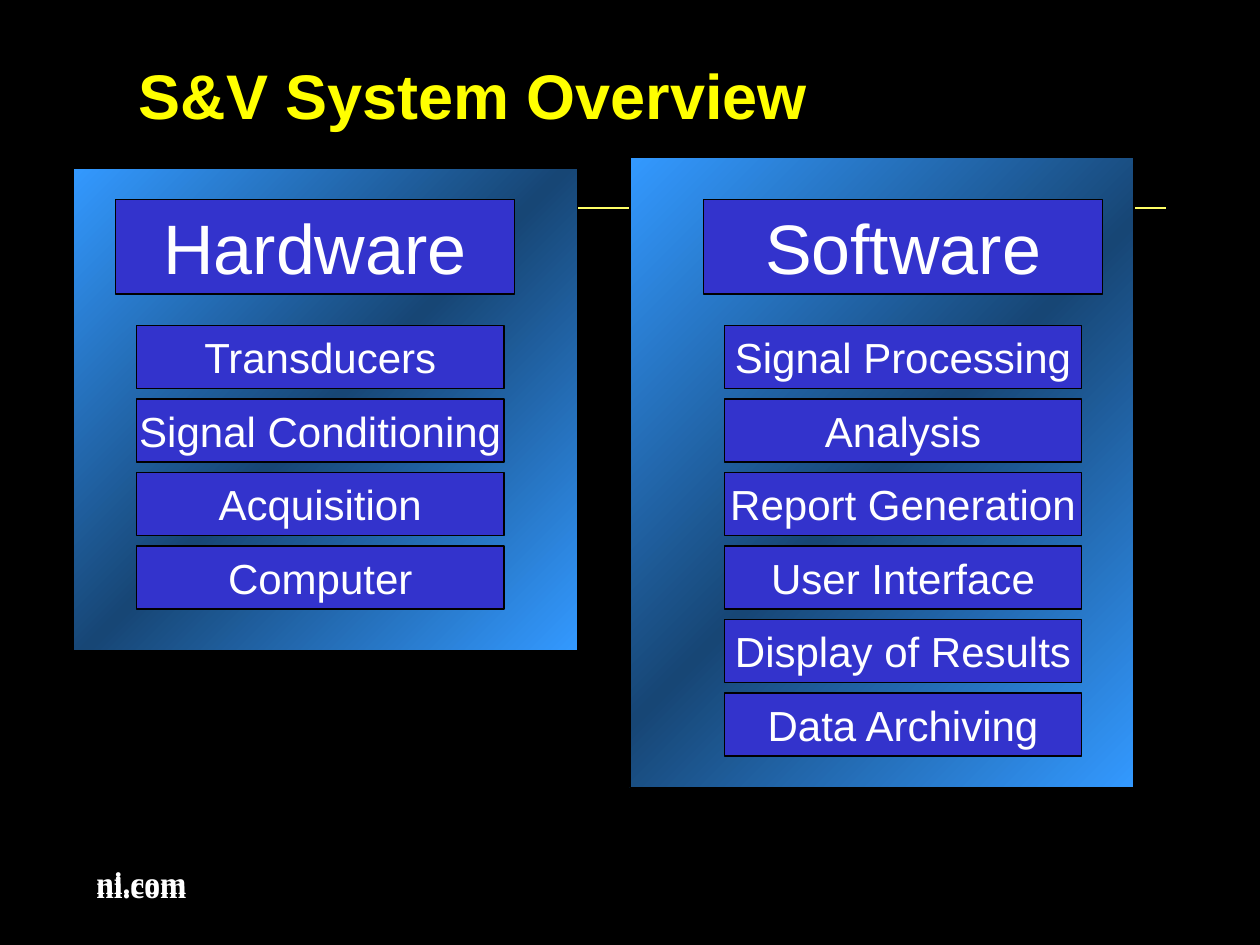
from copy import deepcopy
from dataclasses import dataclass

from lxml import etree
from pptx import Presentation
from pptx.dml.color import RGBColor
from pptx.enum.shapes import MSO_CONNECTOR, MSO_SHAPE
from pptx.enum.text import MSO_ANCHOR, MSO_AUTO_SIZE, PP_ALIGN
from pptx.oxml.ns import qn
from pptx.util import Pt

RECTANGLE = MSO_SHAPE.RECTANGLE
STRAIGHT = MSO_CONNECTOR.STRAIGHT
TOP, MIDDLE = MSO_ANCHOR.TOP, MSO_ANCHOR.MIDDLE
LEFT, CENTER = PP_ALIGN.LEFT, PP_ALIGN.CENTER
FIXED = MSO_AUTO_SIZE.NONE


@dataclass(frozen=True)
class Theme:
    background: RGBColor = RGBColor(0x00, 0x00, 0x00)
    title: RGBColor = RGBColor(0xFF, 0xFF, 0x00)
    text: RGBColor = RGBColor(0xFF, 0xFF, 0xFF)
    rule: RGBColor = RGBColor(0xFF, 0xFF, 0x66)
    box: RGBColor = RGBColor(0x33, 0x33, 0xCC)
    panel_light: RGBColor = RGBColor(0x33, 0x99, 0xFF)
    panel_dark: RGBColor = RGBColor(0x17, 0x46, 0x75)
    sans: str = "Arial"
    serif: str = "Times New Roman"
    title_size: int = 36
    heading_size: int = 40
    item_size: int = 24
    footer_size: int = 18


theme = Theme()


def write(shape, words, color, align=LEFT, anchor=MIDDLE, wrap=False, **font_format):
    frame = shape.text_frame
    frame.text = words
    for name, value in dict(auto_size=FIXED, word_wrap=wrap, vertical_anchor=anchor).items():
        setattr(frame, name, value)
    paragraph = frame.paragraphs[0]
    paragraph.alignment = align
    font = paragraph.runs[0].font
    for name, value in font_format.items():
        setattr(font, name, value)
    font.color.rgb = color


def add_box(parent, left, top, width, height, words=None, size=None):
    box = parent.add_shape(RECTANGLE, Pt(left), Pt(top), Pt(width), Pt(height))
    box.shadow.inherit = False
    box.line.color.rgb = theme.background
    box.line.width = Pt(0.75)
    if words:
        box.fill.solid()
        box.fill.fore_color.rgb = theme.box
        write(box, words, theme.text, CENTER, name=theme.sans, size=Pt(size))
    return box


presentation = Presentation()
presentation.slide_width, presentation.slide_height = Pt(720), Pt(540)
slide = presentation.slides.add_slide(presentation.slide_layouts[5])
slide.background.fill.solid()
slide.background.fill.fore_color.rgb = theme.background

# Footer address, set twice with a slight offset
for top, width, height, anchor in [(492, 70, 29, TOP), (486, 150, 36, MIDDLE)]:
    footer = slide.shapes.add_textbox(Pt(48), Pt(top), Pt(width), Pt(height))
    write(footer, "ni.com", theme.text, anchor=anchor,
          name=theme.serif, size=Pt(theme.footer_size), bold=True)

# Rule behind the panels
rule = slide.shapes.add_connector(STRAIGHT, Pt(60), Pt(119), Pt(666), Pt(119))
rule.line.color.rgb = theme.rule
rule.line.width = Pt(1)
etree.SubElement(rule._element.spPr, qn("a:effectLst"))

# Title
title = slide.shapes.title
title.left, title.top, title.width, title.height = Pt(72), Pt(18), Pt(546), Pt(72)
write(title, "S&V System Overview", theme.title, wrap=True,
      name=theme.sans, size=Pt(theme.title_size), bold=True)

# Panels: frame, heading left, item left and width, heading, items
panels = [
    ((360, 90, 288, 360), 402, 414, 204, "Software",
     ["Signal Processing", "Analysis", "Report Generation",
      "User Interface", "Display of Results", "Data Archiving"]),
    ((42, 96, 288, 276), 66, 78, 210, "Hardware",
     ["Transducers", "Signal Conditioning", "Acquisition", "Computer"]),
]
for frame, heading_left, item_left, item_width, heading, items in panels:
    # Diagonal gradient, dark in the middle
    panel = add_box(slide.shapes, *frame)
    panel.fill.gradient()
    panel.fill.gradient_angle = 135
    first_stop = panel.fill.gradient_stops[0]._gs
    first_stop.addnext(deepcopy(first_stop))
    shades = [theme.panel_light, theme.panel_dark, theme.panel_light]
    for stop, position, shade in zip(panel.fill.gradient_stops, [0, 0.5, 1], shades):
        stop.position = position
        stop.color.rgb = shade

    # Heading and its grouped items
    add_box(slide.shapes, heading_left, 114, 228, 54, heading, theme.heading_size)
    item_group = slide.shapes.add_group_shape()
    for row, item in enumerate(items):
        add_box(item_group.shapes, item_left, 186 + 42 * row, item_width, 36,
                item, theme.item_size)

presentation.save("out.pptx")
